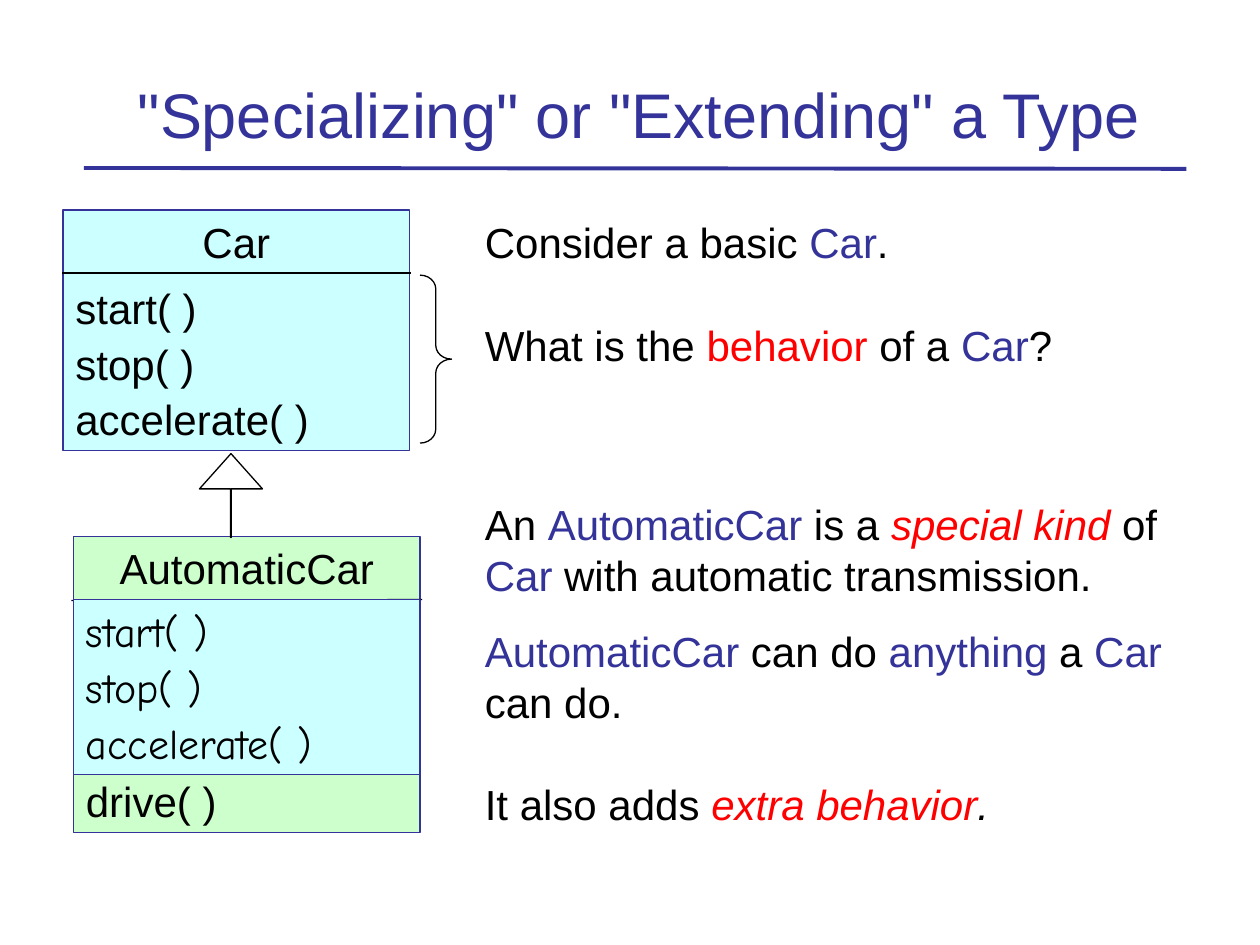
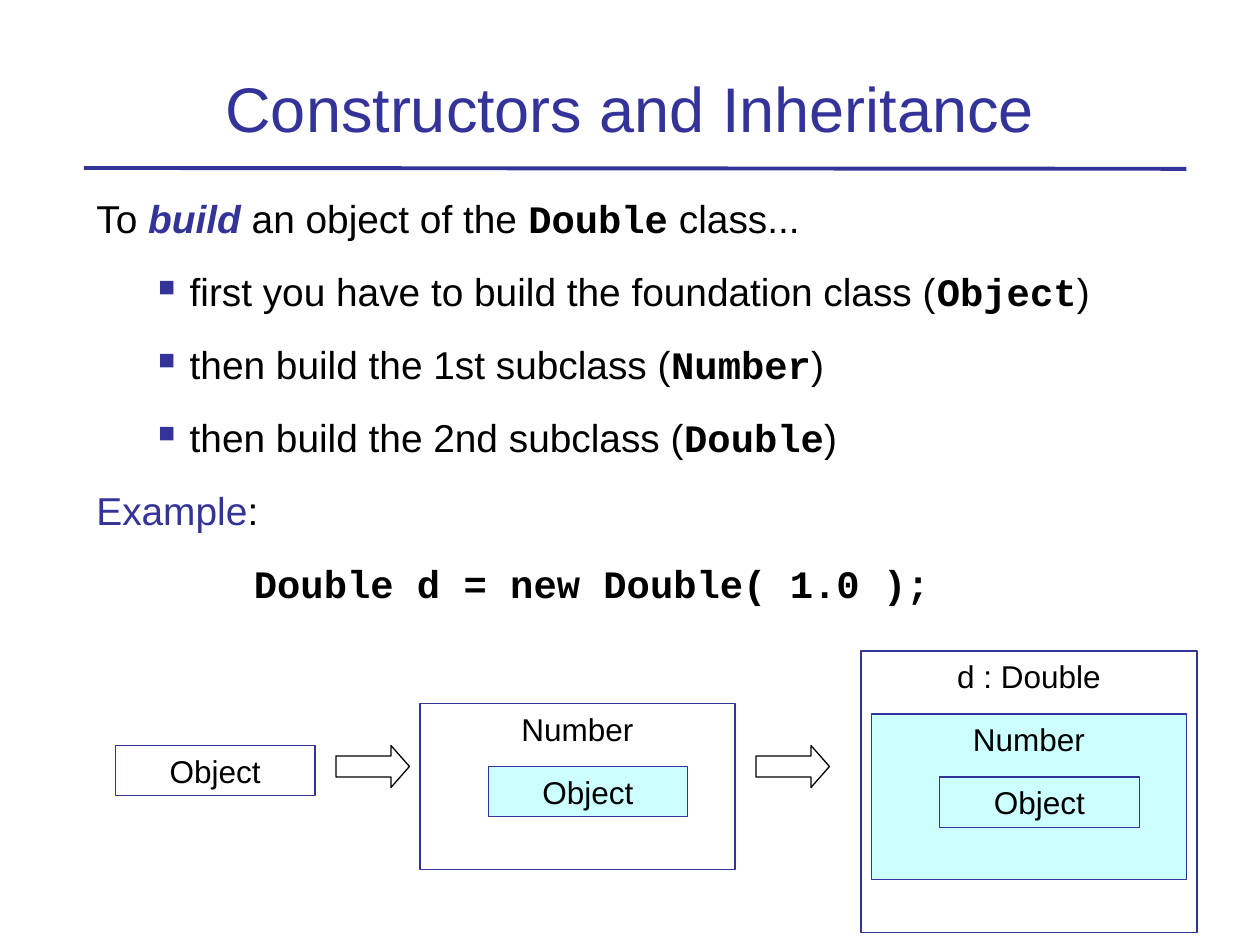
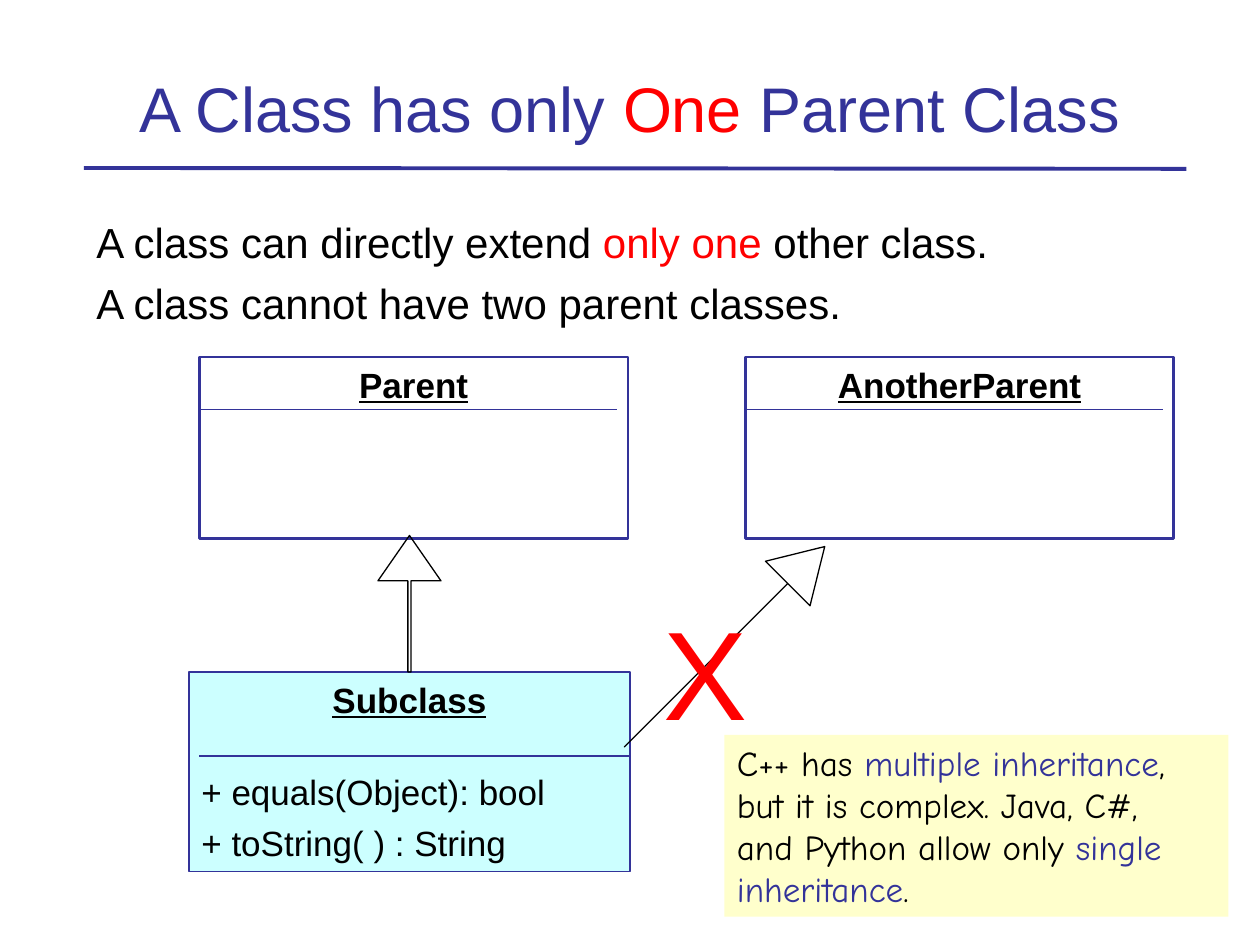
from dataclasses import dataclass, field
from typing import NamedTuple

from lxml.etree import SubElement
from pptx import Presentation
from pptx.dml.color import RGBColor
from pptx.enum.shapes import MSO_CONNECTOR as Connector, MSO_SHAPE as Preset
from pptx.enum.text import MSO_ANCHOR as Anchor, PP_ALIGN as Align
from pptx.oxml.ns import qn
from pptx.util import Inches, Pt


# Theme: colours, type sizes and run formats
@dataclass(frozen=True)
class Theme:
    navy: str = "333399"
    red: str = "FF0000"
    black: str = "000000"
    white: str = "FFFFFF"
    cyan: str = "CCFFFF"
    green: str = "CCFFCC"
    cream: str = "FFFFCC"
    sans: str = "Arial"
    hand: str = "Comic Neue"
    mono: str = "Courier New"
    title: float = 36
    body: float = 24
    steps: float = 22.2
    diagram: float = 20
    label: float = 18
    cross: float = 72
    line_height: float = 1.2
    thin: float = 0.75


THEME = Theme()
FORMATS = {
    "plain": {},
    "navy": {"color": THEME.navy},
    "red": {"color": THEME.red},
    "red italic": {"color": THEME.red, "italic": True},
    "italic": {"italic": True},
    "build": {"color": THEME.navy, "bold": True, "italic": True},
    "code": {"name": THEME.mono, "bold": True},
    "hand": {"name": THEME.hand},
    "hand navy": {"name": THEME.hand, "color": THEME.navy},
    "class name": {"bold": True, "underline": True},
}

# Grid: twelve columns and twelve rows to the inch
COLUMNS, ROWS = 120, 90
SLIDE_WIDTH, SLIDE_HEIGHT = Inches(10), Inches(7.5)


def across(columns: float) -> int:
    return round(SLIDE_WIDTH * columns / COLUMNS)


def down(rows: float) -> int:
    return round(SLIDE_HEIGHT * rows / ROWS)


class Area(NamedTuple):
    left: float
    top: float
    width: float
    height: float

    def lengths(self) -> tuple:
        return across(self.left), down(self.top), across(self.width), down(self.height)


class Run(NamedTuple):
    text: str
    style: str = "plain"


@dataclass
class Para:
    runs: list
    before: float = 0
    align: Align = Align.LEFT
    margin: float = 0
    bullet: bool = False


@dataclass
class Box:
    area: Area
    paras: list = field(default_factory=list)
    size: float = THEME.body
    fill: str = ""
    line: str = ""
    weight: float = THEME.thin
    preset: Preset = Preset.RECTANGLE
    adjustments: tuple = ()
    rotation: float = 0
    right_inset: float = 0.1
    anchor: Anchor = Anchor.TOP


class Rule(NamedTuple):
    start: tuple
    end: tuple
    color: str = THEME.navy
    weight: float = THEME.thin


# Drawing
def add_bullet(paragraph) -> None:
    properties = paragraph._p.get_or_add_pPr()
    properties.set("indent", str(-Inches(0.25)))
    color = SubElement(properties, qn("a:buClr"))
    SubElement(color, qn("a:srgbClr"), val=THEME.navy)
    SubElement(properties, qn("a:buSzPct"), val="60000")
    SubElement(properties, qn("a:buChar"), char="■")


def write_text(frame, box: Box) -> None:
    settings = {
        "word_wrap": True, "vertical_anchor": box.anchor,
        "margin_left": Inches(0.1), "margin_right": Inches(box.right_inset),
        "margin_top": Inches(0.05), "margin_bottom": Inches(0.05),
    }
    for name, value in settings.items():
        setattr(frame, name, value)
    for index, para in enumerate(box.paras):
        paragraph = frame.add_paragraph() if index else frame.paragraphs[0]
        paragraph.alignment = para.align
        paragraph.space_before = Pt(para.before)
        paragraph.line_spacing = Pt(box.size * THEME.line_height)
        if para.margin:
            paragraph._p.get_or_add_pPr().set("marL", str(Inches(para.margin)))
        if para.bullet:
            add_bullet(paragraph)
        for text, style in para.runs:
            run = paragraph.add_run()
            run.text = text
            values = {"name": THEME.sans, "size": Pt(box.size), "color": THEME.black}
            values.update(FORMATS[style])
            run.font.color.rgb = RGBColor.from_string(values.pop("color"))
            for name, value in values.items():
                setattr(run.font, name, value)


def draw_box(slide, box: Box) -> None:
    if not (box.fill or box.line):
        write_text(slide.shapes.add_textbox(*box.area.lengths()).text_frame, box)
        return
    shape = slide.shapes.add_shape(box.preset, *box.area.lengths())
    shape.shadow.inherit = False
    shape.rotation = box.rotation
    for index, value in enumerate(box.adjustments):
        shape.adjustments[index] = value
    if box.fill:
        shape.fill.solid()
        shape.fill.fore_color.rgb = RGBColor.from_string(box.fill)
    else:
        shape.fill.background()
    if box.line:
        shape.line.color.rgb = RGBColor.from_string(box.line)
        shape.line.width = Pt(box.weight)
    else:
        shape.line.fill.background()
    if box.paras:
        write_text(shape.text_frame, box)


def draw_rule(slide, rule: Rule) -> None:
    (x1, y1), (x2, y2) = rule.start, rule.end
    connector = slide.shapes.add_connector(
        Connector.STRAIGHT, across(x1), down(y1), across(x2), down(y2))
    SubElement(connector._element.spPr, qn("a:effectLst"))
    connector.line.color.rgb = RGBColor.from_string(rule.color)
    connector.line.width = Pt(rule.weight)


def draw_all(slide, parts: list) -> None:
    for part in parts:
        if isinstance(part, Rule):
            draw_rule(slide, part)
        else:
            draw_box(slide, part)


def titled_slide(presentation, runs: list, area: Area = Area(8, 3, 104, 11.4)):
    slide = presentation.slides.add_slide(presentation.slide_layouts[6])
    title = Box(area, [Para(runs, align=Align.CENTER)], THEME.title, anchor=Anchor.BOTTOM)
    draw_all(slide, [Rule((8, 16), (113, 16.08), weight=2.25), title])
    return slide


# Part builders
def centered(text: str, style: str = "plain") -> Para:
    return Para([Run(text, style)], align=Align.CENTER)


def methods(names: list, first: float, rest: float, style: str = "plain") -> list:
    return [Para([Run(name, style)], rest if index else first)
            for index, name in enumerate(names)]


def outline(preset: Preset, area: Area, *adjustments: float, rotation: float = 0) -> Box:
    return Box(area, line=THEME.black, preset=preset,
               adjustments=adjustments, rotation=rotation)


# Slide 1: extending a type
def specializing_slide(presentation) -> None:
    slide = titled_slide(presentation, [Run('"Specializing" or "Extending" a Type')],
                         Area(9.6, 3.6, 102.5, 11.4))
    car, automatic = Run("Car", "navy"), Run("AutomaticCar", "navy")
    behavior = ["start( )", "stop( )", "accelerate( )"]
    explanation = [
        Para([Run("Consider a basic "), car, Run(".")]),
        Para([Run("What is the "), Run("behavior", "red"), Run(" of a "), car, Run("?")], 30),
        Para([Run("An "), automatic, Run(" is a "), Run("special kind", "red italic"),
              Run(" of "), car, Run(" with automatic transmission.")], 73.8),
        Para([automatic, Run(" can do "), Run("anything", "navy"), Run(" a "), car,
              Run(" can do.")], 15),
        Para([Run("It also adds "), Run("extra behavior", "red italic"),
              Run(".", "italic")], 30),
    ]
    draw_all(slide, [
        Box(Area(45, 20, 72, 59.6), explanation),
        Box(Area(6, 20, 33, 22.9), [centered("Car"), *methods(behavior, 9, 3)],
            fill=THEME.cyan, line=THEME.navy),
        Rule((39.1, 26), (5.9, 26), THEME.black),
        Box(Area(7, 51.1, 33, 28.2),
            [centered("AutomaticCar"), *methods(["drive( )"], 104.4, 0)],
            fill=THEME.green, line=THEME.navy),
        Rule((40.2, 57.1), (6.8, 57.2), THEME.black),
        Box(Area(7, 57.1, 33, 16.7), methods(behavior, 0, 3, "hand"),
            fill=THEME.cyan, line=THEME.navy),
        outline(Preset.RIGHT_BRACE, Area(40, 26.2, 3, 16), 0.44, 0.5),
        outline(Preset.UP_ARROW, Area(19, 43.2, 6, 8), 0.01, 0.56),
    ])


# Slide 2: building an object layer by layer
def constructors_slide(presentation) -> None:
    slide = titled_slide(presentation, [Run("Constructors and Inheritance")])
    steps = [("first you have to build the foundation class (", "Object"),
             ("then build the 1st subclass (", "Number"),
             ("then build the 2nd subclass (", "Double")]
    paras = [
        Para([Run("To "), Run("build", "build"), Run(" an object of the "),
              Run("Double", "code"), Run(" class...")]),
        *[Para([Run(text), Run(name, "code"), Run(")")], 15, margin=0.74, bullet=True)
          for text, name in steps],
        Para([Run("Example", "navy"), Run(":")], 15),
        Para([Run("Double d = new Double( 1.0 );", "code")], 15, margin=1.25),
    ]

    def layer(name: str, left: float, top: float, fill: str = "") -> Box:
        width, height = {"Object": (19, 4.8), "Number": (30, 15.8),
                         "d : Double": (32, 26.8)}[name]
        return Box(Area(left, top, width, height), [centered(name)], THEME.label,
                   fill, THEME.navy)

    draw_all(slide, [
        Box(Area(8, 18, 104, 40), paras, THEME.steps),
        layer("Object", 11, 71),
        layer("Number", 40, 67),
        layer("Object", 46.5, 73, THEME.cyan),
        layer("d : Double", 82, 62),
        layer("Number", 83, 68, THEME.cyan),
        layer("Object", 89.5, 74, THEME.cyan),
        *[outline(Preset.RIGHT_ARROW, Area(left, 71, 7, 4), 0.5, 0.44) for left in (32, 72)],
    ])


# Slide 3: single inheritance
def one_parent_slide(presentation) -> None:
    slide = titled_slide(presentation, [Run("A Class has only "), Run("One", "red"),
                                        Run(" Parent Class")])
    paras = [
        Para([Run("A class can directly extend "), Run("only one", "red"),
              Run(" other class.")]),
        Para([Run("A class cannot have two parent classes.")], 6),
    ]
    note = [Para([Run("C++ has ", "hand"), Run("multiple inheritance", "hand navy"),
                  Run(", but it is complex. Java, C#, and Python allow only ", "hand"),
                  Run("single inheritance", "hand navy"), Run(".", "hand")])]

    def parent(name: str, left: float) -> list:
        return [Box(Area(left, 34, 40.8, 17.3), [centered(name, "class name")],
                    THEME.diagram, THEME.white, THEME.navy, 1.5),
                Rule((left, 39), (left + 39.8, 39), weight=1)]

    operations = ["+ equals(Object): bool", "+ toString( ) : String"]
    draw_all(slide, [
        Box(Area(8, 20, 104, 58.6), paras),
        Box(Area(18, 64, 42, 19),
            [centered("Subclass", "class name"), *methods(operations, 29, 5)],
            THEME.diagram, THEME.cyan, THEME.navy),
        *parent("Parent", 19),
        Rule((19, 72), (60, 72)),
        outline(Preset.UP_ARROW, Area(36, 51, 6, 13), 0.05, 0.72),
        *parent("AnotherParent", 71),
        outline(Preset.UP_ARROW, Area(66, 48.1, 6, 27), 0, 0.83, rotation=45),
        Box(Area(62, 56, 16, 15.6), [Para([Run("X", "red")])], THEME.cross),
        Box(Area(69, 70, 48, 17.3), note, THEME.diagram, THEME.cream, right_inset=0.3),
    ])


def main() -> None:
    # Titles share the navy of the rule beneath them
    presentation = Presentation()
    presentation.slide_width, presentation.slide_height = SLIDE_WIDTH, SLIDE_HEIGHT
    for build in (specializing_slide, constructors_slide, one_parent_slide):
        build(presentation)
    for slide in presentation.slides:
        title = next(shape for shape in slide.shapes if shape.has_text_frame)
        for run in title.text_frame.paragraphs[0].runs:
            if run.font.color.rgb == RGBColor.from_string(THEME.black):
                run.font.color.rgb = RGBColor.from_string(THEME.navy)
    presentation.save("out.pptx")


if __name__ == "__main__":
    main()
